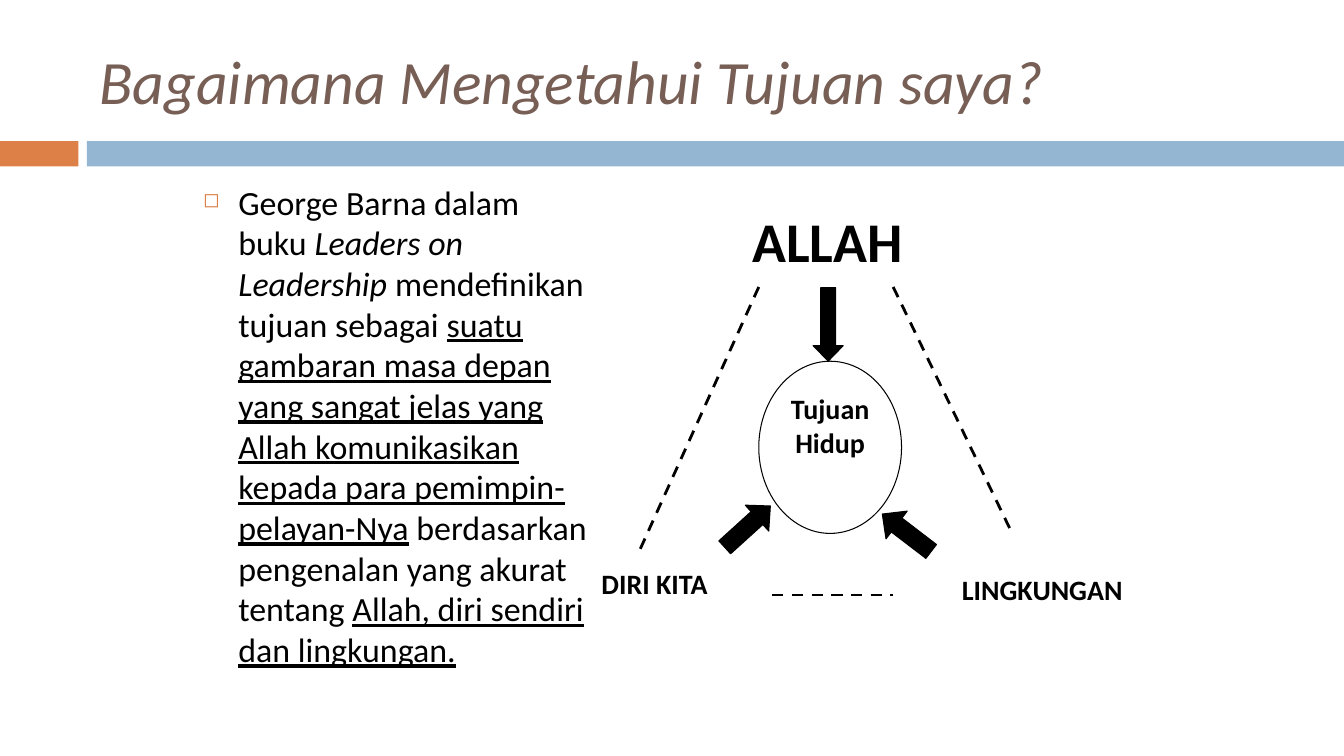
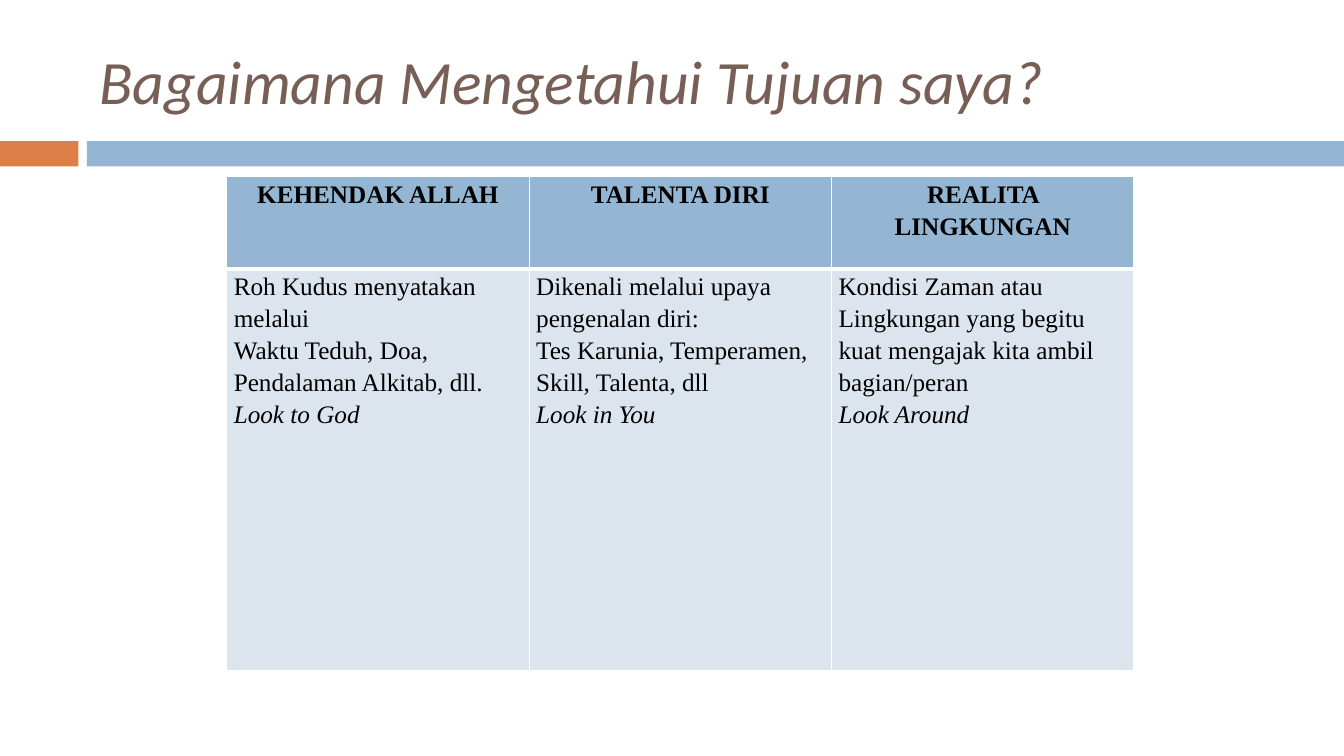
from dataclasses import dataclass

from lxml import etree
from pptx import Presentation
from pptx import util as u
from pptx.dml.color import RGBColor
from pptx.enum import dml, shapes, text
from pptx.oxml import ns

Pt = u.Pt
SHAPE = shapes.MSO_SHAPE
CENTER = text.PP_ALIGN.CENTER
HEADING = "Bagaimana Mengetahui Tujuan saya?"


@dataclass(frozen=True)
class Theme:
    ink: str = "000000"
    paper: str = "FFFFFF"
    title: str = "775F55"
    accent: str = "DD8047"
    band: str = "94B6D2"
    cell: str = "DCE5EE"
    font: str = "Calibri"
    table_font: str = "Times New Roman"
    title_size: float = 44
    body_size: float = 24.2
    peak_size: float = 40
    label_size: float = 20
    table_size: float = 18


def rgb(color):
    return RGBColor.from_string(color)


def sub(parent, tag, **attrs):
    return etree.SubElement(parent, ns.qn(tag), attrs)


class Deck:
    def __init__(self, theme):
        self.t = theme
        self.prs = Presentation()
        self.prs.slide_width, self.prs.slide_height = Pt(960), Pt(540)
        self.s = None

    def slide(self, heading):
        """Start a slide with the two bands and its title."""
        self.s = self.prs.slides.add_slide(self.prs.slide_layouts[6])
        self.shape(SHAPE.RECTANGLE, (0, 100.8, 56, 18), self.t.accent)
        self.shape(SHAPE.RECTANGLE, (62, 100.8, 898, 18), self.t.band)
        tf = self.text_box((64, 18, 856, 78))
        tf.vertical_anchor = text.MSO_ANCHOR.MIDDLE
        self.runs(tf.paragraphs[0], [(heading, "i")], self.t.title_size, self.t.title)

    def shape(self, kind, box, fill, line=None, rotation=0):
        sp = self.s.shapes.add_shape(kind, *map(Pt, box))
        sp.shadow.inherit = False
        sp.rotation = rotation
        sp.fill.solid()
        sp.fill.fore_color.rgb = rgb(fill)
        if line:
            sp.line.color.rgb = rgb(line)
            sp.line.width = Pt(0.75)
        else:
            sp.line.fill.background()
        return sp

    def text_box(self, box):
        tf = self.s.shapes.add_textbox(*map(Pt, box)).text_frame
        tf.word_wrap = True
        return tf

    def runs(self, p, runs, size, color=None, font=None):
        """Add (text, style) runs; style holds any of the letters b, i, u."""
        for words, style in runs:
            r = p.add_run()
            r.text = words
            f = r.font
            f.name, f.size = font or self.t.font, Pt(size)
            f.color.rgb = rgb(color or self.t.ink)
            f.bold, f.italic, f.underline = (k in style for k in "biu")

    def label(self, tf, words, size):
        p = tf.paragraphs[0]
        p.alignment, p.space_after = CENTER, Pt(10)
        self.runs(p, [(words, "b")], size)

    def bullet(self, box, runs):
        p = self.text_box(box).paragraphs[0]
        p.space_before = Pt(7)
        pPr = p._p.get_or_add_pPr()
        pPr.set("marL", str(Pt(25.2)))
        pPr.set("indent", str(-Pt(25.2)))
        sub(sub(pPr, "a:buClr"), "a:srgbClr", val=self.t.accent)
        sub(pPr, "a:buSzPct", val="60000")
        sub(pPr, "a:buChar", char="◻")
        self.runs(p, runs, self.t.body_size)

    def arrow(self, box, rotation):
        sp = self.shape(SHAPE.RIGHT_ARROW, box, self.t.ink, self.t.ink, rotation)
        sp.adjustments[0], sp.adjustments[1] = 0.5, 0.515

    def dashed_line(self, start, end):
        line = self.s.shapes.add_connector(
            shapes.MSO_CONNECTOR.STRAIGHT, *map(Pt, start + end))
        line.line.color.rgb = rgb(self.t.ink)
        line.line.width = Pt(2)
        line.line.dash_style = dml.MSO_LINE.DASH
        sub(line._element.spPr, "a:effectLst")

    def borders(self, cell, widths):
        """Draw the left, right, top and bottom edges, in that order."""
        tcPr = cell._tc.get_or_add_tcPr()
        for side, width in zip("LRTB", widths):
            ln = sub(tcPr, f"a:ln{side}", w=str(Pt(width)))
            sub(sub(ln, "a:solidFill"), "a:srgbClr", val=self.t.paper)

    def cell(self, cell, paragraphs, header):
        self.borders(cell, (1, 1, 1, 3) if header else (1, 1, 3, 1))
        cell.fill.solid()
        cell.fill.fore_color.rgb = rgb(self.t.band if header else self.t.cell)
        cell.margin_left = cell.margin_right = Pt(5)
        cell.margin_top = cell.margin_bottom = 0
        tf = cell.text_frame
        for i, run in enumerate(paragraphs):
            p = tf.add_paragraph() if i else tf.paragraphs[0]
            p.line_spacing = 1.15
            if header:
                p.alignment = CENTER
            self.runs(p, [run], self.t.table_size, font=self.t.table_font)

    def table(self, box, heights, columns):
        """Build a header row and a body row from (header, body, motto) columns."""
        table = self.s.shapes.add_table(2, len(columns), *map(Pt, box)).table
        table.first_row = table.horz_banding = False
        for row, height in zip(table.rows, heights):
            row.height = Pt(height)
        for i, (header, body, motto) in enumerate(columns):
            self.cell(table.cell(0, i), [(header, "b")], True)
            lines = [(words, "") for words in body] + [(motto, "i")]
            self.cell(table.cell(1, i), lines, False)


def purpose_slide(deck):
    t = deck.t
    deck.slide(HEADING)
    deck.bullet((138, 126, 294, 354), [
        ("George Barna dalam buku ", ""),
        ("Leaders on Leadership", "i"),
        (" mendefinikan tujuan sebagai ", ""),
        ("suatu gambaran masa depan yang sangat jelas yang Allah "
         "komunikasikan kepada para pemimpin-pelayan-Nya", "u"),
        (" berdasarkan pengenalan yang akurat tentang ", ""),
        ("Allah, diri sendiri dan lingkungan.", "u"),
    ])

    goal = deck.shape(SHAPE.OVAL, (542, 258, 102, 123), t.paper, t.ink)
    tf = goal.text_frame
    tf.vertical_anchor = text.MSO_ANCHOR.TOP
    tf.margin_left = tf.margin_right = 0
    deck.label(tf, "Tujuan Hidup", t.label_size)

    for words, x, y, size in (("ALLAH", 507.5, 144, t.peak_size),
                              ("DIRI KITA", 384, 401, t.label_size),
                              ("LINGKUNGAN", 661, 405.5, t.label_size)):
        deck.label(deck.text_box((x, y, 167, 74)), words, size)

    for box, rotation in (((565.3, 221, 52.5, 21.5), 90),
                          ((625.7, 368, 44, 25), 217.4),
                          ((512, 363.7, 44, 25), 317.8)):
        deck.arrow(box, rotation)

    for start, end in (((638, 205), (723, 381)),
                       ((542, 205), (456.5, 394)),
                       ((551.5, 425), (638, 425))):
        deck.dashed_line(start, end)


def sources_slide(deck):
    deck.slide(HEADING)
    deck.table((162, 126, 648, 353), (66, 287), [
        ("KEHENDAK ALLAH",
         ["Roh Kudus menyatakan melalui",
          "Waktu Teduh, Doa, Pendalaman Alkitab, dll."],
         "Look to God"),
        ("TALENTA DIRI",
         ["Dikenali melalui upaya pengenalan diri:",
          "Tes Karunia, Temperamen, Skill, Talenta, dll"],
         "Look in You"),
        ("REALITA LINGKUNGAN",
         ["Kondisi Zaman atau Lingkungan yang begitu kuat mengajak kita "
          "ambil bagian/peran"],
         "Look Around"),
    ])


def main():
    deck = Deck(Theme())
    purpose_slide(deck)
    sources_slide(deck)
    deck.prs.save("out.pptx")


if __name__ == "__main__":
    main()
